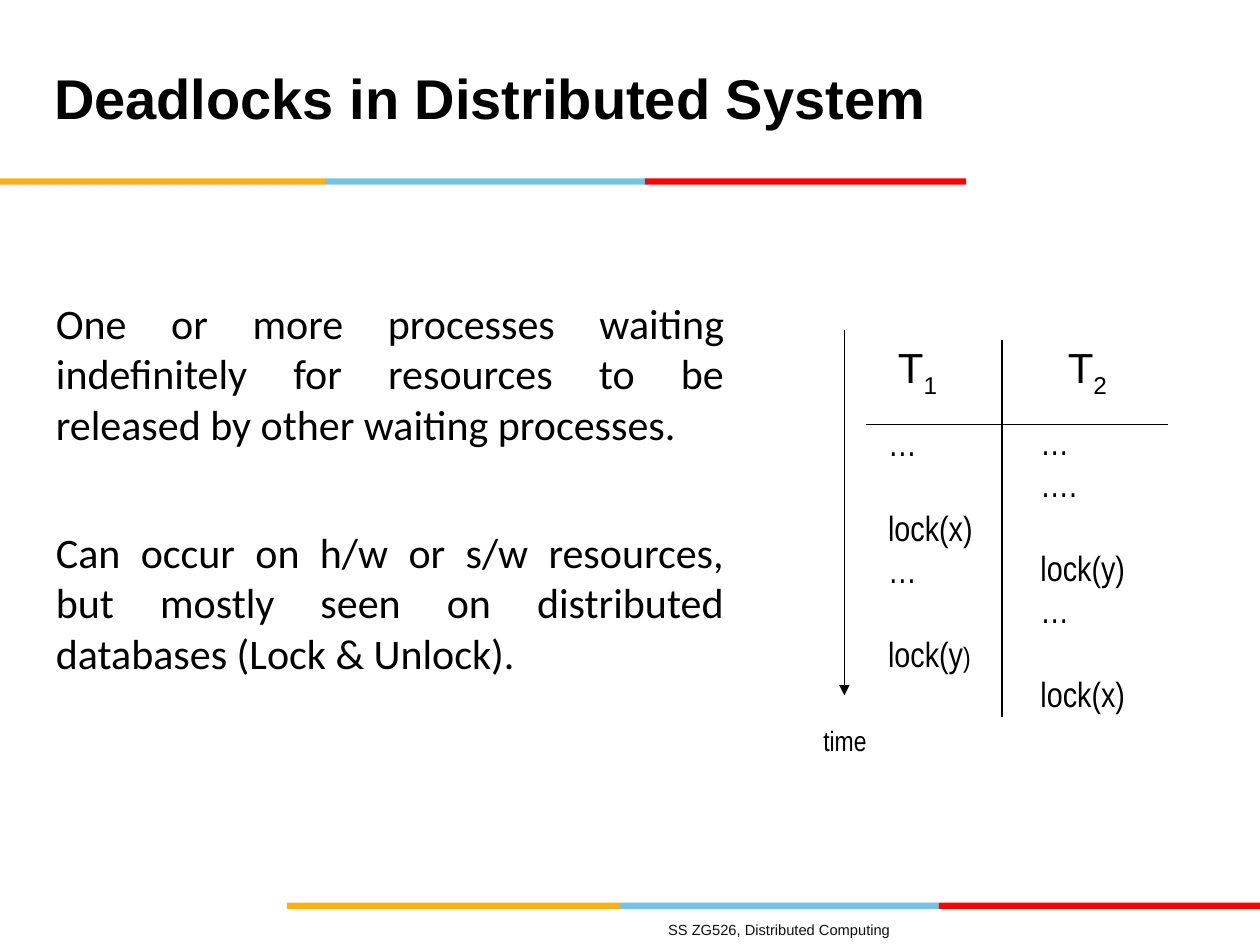
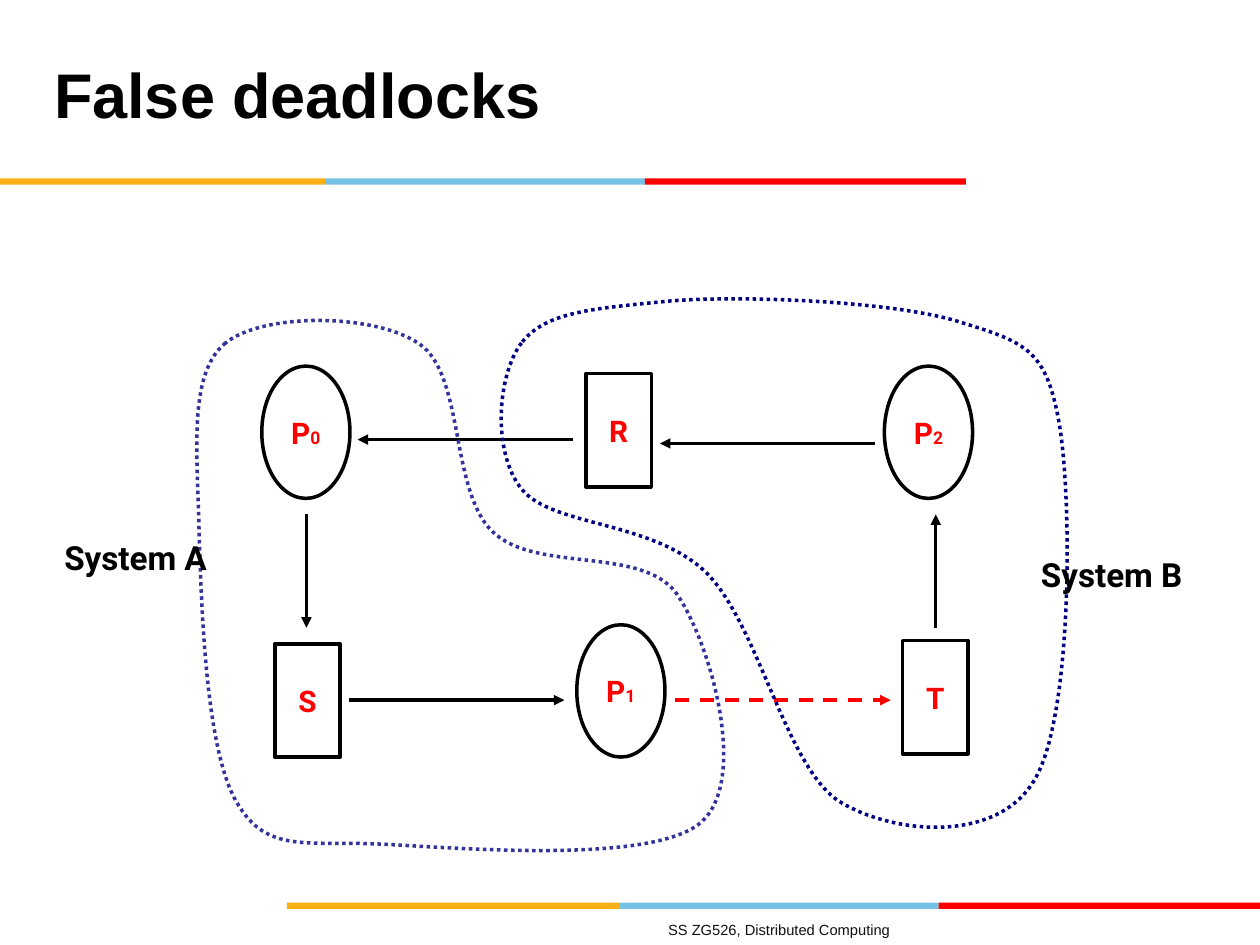
from lxml.etree import SubElement
from pptx import Presentation
from pptx.dml.color import RGBColor
from pptx.enum.dml import MSO_LINE as Dash
from pptx.enum.shapes import MSO_CONNECTOR as Connector, MSO_SHAPE as Preset
from pptx.enum.text import MSO_ANCHOR as Anchor, MSO_AUTO_SIZE as AutoSize, PP_ALIGN as Align
from pptx.oxml.ns import qn
from pptx.util import Pt

COLORS = {
    "black": "000000", "white": "FFFFFF", "footer": "111111", "red": "FF0000",
    "amber": "FCB017", "sky": "76C2E5", "navy": "000080", "indigo": "333399",
}
FOOTER = "SS ZG526, Distributed Computing"
BAND_COLORS = ("amber", "sky", "red")
BAND_HEIGHT = 3.6
BANDS = [
    (101.9, (0, 185.8, 368.6, 552)),
    (515.8, (164, 354.2, 536.4, 720)),
]

DEFINITION = [
    (8, "One or more processes waiting indefinitely for resources to be released by other waiting processes."),
    (44.6, "Can occur on h/w or s/w resources, but mostly seen on distributed databases (Lock & Unlock)."),
]
SUB = {"baseline": -25000}
BLANK_LINE = 24
TRANSACTIONS = [
    {"number": "1", "head": 506, "left": 500.4, "top": 237.6, "height": 151.2,
     "steps": [(0, "…"), (BLANK_LINE, "lock(x)"), (0, "…"),
               (BLANK_LINE, "lock(y", (")", {"size": 16}))]},
    {"number": "2", "head": 603.1, "left": 587.5, "top": 236.9, "height": 175.7,
     "steps": [(0, "…"), (0, "…."), (BLANK_LINE, "lock(y)"), (0, "…"),
               (BLANK_LINE, "lock(x)")]},
]
SCHEDULE_PANEL = (458.6, 170.6, 238.3, 274.3)
SCHEDULE_RULES = [(494.6, 242.6, 667.4, 242.6), (572.6, 194.4, 572.6, 409.5)]
TIME_ARROW = (482.5, 188.6, 482.5, 397.4)

PROCESS_SIZE = (50.4, 75.6)
RESOURCE_SIZE = (37.4, 64.8)
PROCESSES = [("0", 174.8, 247), ("2", 530.6, 247), ("1", 354.8, 394.8)]
RESOURCES = [("R", 353.5, 245.9), ("S", 175.7, 400.3), ("T", 534.4, 398.5)]
ACROSS, DOWN = 123.1, 64.8
REQUESTS = [
    (175.1, 293.9, 0, DOWN, "black", None),
    (199.4, 400.1, ACROSS, 0, "black", None),
    (385.9, 400.1, ACROSS, 0, "red", Dash.DASH),
    (534.7, 358.7, 0, -DOWN, "black", None),
    (500.2, 253.4, -ACROSS, 0, "black", None),
    (327.4, 251.2, -ACROSS, 0, "black", None),
]
SYSTEMS = [
    {"name": "System B", "color": "navy", "label": (545.6, 302.4, 179.3, 51.8), "start": (298, 196),
     "curves": [
         ((284.4, 213.8), (280.8, 257.8), (298, 279.4)),
         ((315.4, 301), (372.2, 297.4), (403.2, 326.9)),
         ((433.4, 356.4), (448.6, 437.8), (479.5, 457.9)),
         ((511.2, 477.4), (570.2, 481.7), (591.1, 445.7)),
         ((612.7, 410.4), (612.7, 287.3), (605.5, 243.4)),
         ((598.3, 200.2), (586.8, 195.8), (549.4, 184.3)),
         ((511.9, 172.1), (424.1, 168.5), (381.6, 172.1)),
         ((339.8, 176.4), (311.8, 177.8), (298, 196))]},
    {"name": "System A", "color": "indigo", "label": (5.5, 292.3, 144, 51.8), "start": (128.2, 196.6),
     "curves": [
         ((149, 178.6), (213.8, 178.6), (239.8, 196.6)),
         ((265.7, 214.6), (257, 280.1), (281.5, 303.8)),
         ((306, 327.6), (366.5, 311.8), (386.6, 339.1)),
         ((406.1, 367.2), (428.4, 446.4), (400.3, 470.2)),
         ((372.2, 493.9), (262.8, 484.6), (218.9, 482.4)),
         ((175, 480.2), (152.6, 488.2), (135.4, 458.6)),
         ((117.4, 428.4), (115.2, 347), (113.8, 303.8)),
         ((113, 259.9), (107.3, 214.6), (128.2, 196.6))]},
]


def rgb(name):
    return RGBColor.from_string(COLORS[name])


def write(box, paras, font="Arial", size=24, color="black", bold=False, align=Align.LEFT,
          anchor=Anchor.TOP, wrap=True, grow=False, line_spacing=None):
    frame = box.text_frame
    frame.word_wrap = wrap
    frame.auto_size = AutoSize.SHAPE_TO_FIT_TEXT if grow else AutoSize.NONE
    frame.vertical_anchor = anchor
    if isinstance(paras, str):
        paras = [(0, paras)]
    for index, (gap, *spans) in enumerate(paras):
        para = frame.add_paragraph() if index else frame.paragraphs[0]
        para.alignment = align
        para.space_before = Pt(gap)
        if line_spacing:
            para.line_spacing = Pt(line_spacing)
        for item in spans:
            text, changes = (item, {}) if isinstance(item, str) else item
            span = para.add_run()
            span.text = text
            span.font.name = font
            span.font.size = Pt(changes.get("size", size))
            span.font.bold = bold
            span.font.color.rgb = rgb(color)
            if "baseline" in changes:
                span.font._element.set("baseline", str(changes["baseline"]))


def add_text(page, place, paras, **style):
    write(page.shapes.add_textbox(*map(Pt, place)), paras, **style)


def outline(shape, color, width, dash=None):
    shape.line.color.rgb = rgb(color)
    shape.line.width = Pt(width)
    if dash:
        shape.line.dash_style = dash


def add_box(page, preset, place, fill=None, line=None, width=2):
    box = page.shapes.add_shape(preset, *map(Pt, place))
    box.shadow.inherit = False
    if fill:
        box.fill.solid()
        box.fill.fore_color.rgb = rgb(fill)
    else:
        box.fill.background()
    if line:
        outline(box, line, width)
    else:
        box.line.fill.background()
    return box


def add_line(page, ends, color="black", width=0.75, dash=None, arrow=False):
    line = page.shapes.add_connector(Connector.STRAIGHT, *map(Pt, ends))
    outline(line, color, width, dash)
    if arrow:
        SubElement(line.line._get_or_add_ln(), qn("a:tailEnd"), type="triangle")
    SubElement(line._element.spPr, qn("a:effectLst"))


def bend(shape):
    corners = list(shape._element.iter(qn("a:lnTo")))
    for index in range(0, len(corners), 3):
        first, *others = corners[index:index + 3]
        first.tag = qn("a:cubicBezTo")
        for corner in others:
            first.append(corner[0])
            corner.getparent().remove(corner)


def add_boundary(page, start, curves, color):
    builder = page.shapes.build_freeform(*map(Pt, start))
    points = [tuple(map(Pt, point)) for curve in curves for point in curve]
    builder.add_line_segments(points, close=True)
    boundary = builder.convert_to_shape()
    bend(boundary)
    boundary.shadow.inherit = False
    boundary.fill.background()
    outline(boundary, color, 2, Dash.ROUND_DOT)


def add_page(deck, title, size, width):
    page = deck.slides.add_slide(deck.slide_layouts[6])
    for top, edges in BANDS:
        for color, left, right in zip(BAND_COLORS, edges, edges[1:]):
            add_box(page, Preset.RECTANGLE, (left, top, right - left, BAND_HEIGHT), fill=color)
    add_text(page, (23.8, 11.8, width, 90), title, size=size, bold=True,
             anchor=Anchor.MIDDLE, line_spacing=36)
    add_text(page, (204.1, 522.7, 311.8, 17.3), FOOTER, size=8.4, color="footer",
             align=Align.RIGHT, anchor=Anchor.MIDDLE)
    return page


def draw_schedule(page):
    add_text(page, (24.9, 166.3, 396, 235.4), DEFINITION, font="Calibri", align=Align.JUSTIFY)
    add_box(page, Preset.RECTANGLE, SCHEDULE_PANEL, fill="white", line="white", width=0.75)
    for ends in SCHEDULE_RULES:
        add_line(page, ends)
    loose = {"wrap": False, "grow": True}
    for item in TRANSACTIONS:
        add_text(page, (item["head"], 191.7, 36.7, 40.3), [(0, "T", (item["number"], SUB))], **loose)
        add_text(page, (item["left"], item["top"], 62.6, item["height"]), item["steps"],
                 font="Arial Narrow", size=20, **loose)
    add_line(page, TIME_ARROW, arrow=True)
    add_text(page, (463.4, 409.7, 38.9, 26.6), "time", font="Arial Narrow", size=16, **loose)


def draw_wait_graph(page):
    centred = {"font": "Roboto", "bold": True, "align": Align.CENTER,
               "anchor": Anchor.MIDDLE, "wrap": False}
    nodes = [(Preset.OVAL, PROCESS_SIZE, "white", x, y, ["P", (number, {"size": 10})])
             for number, x, y in PROCESSES]
    nodes += [(Preset.RECTANGLE, RESOURCE_SIZE, None, x, y, [name]) for name, x, y in RESOURCES]
    for preset, (width, height), fill, x, y, spans in nodes:
        place = (x - width / 2, y - height / 2, width, height)
        node = add_box(page, preset, place, fill=fill, line="black")
        write(node, [(0, *spans)], size=17, color="red", **centred)
    for x, y, across, down, color, dash in REQUESTS:
        add_line(page, (x, y, x + across, y + down), color, 2, dash, arrow=True)
    for system in SYSTEMS:
        add_boundary(page, system["start"], system["curves"], system["color"])
    for system in reversed(SYSTEMS):
        add_text(page, system["label"], system["name"], size=19, **centred)


def main():
    deck = Presentation()
    deck.slide_width, deck.slide_height = Pt(720), Pt(540)
    draw_schedule(add_page(deck, "Deadlocks in Distributed System", 32, 545.8))
    draw_wait_graph(add_page(deck, "False deadlocks", 36, 498.2))
    deck.save("out.pptx")


if __name__ == "__main__":
    main()
